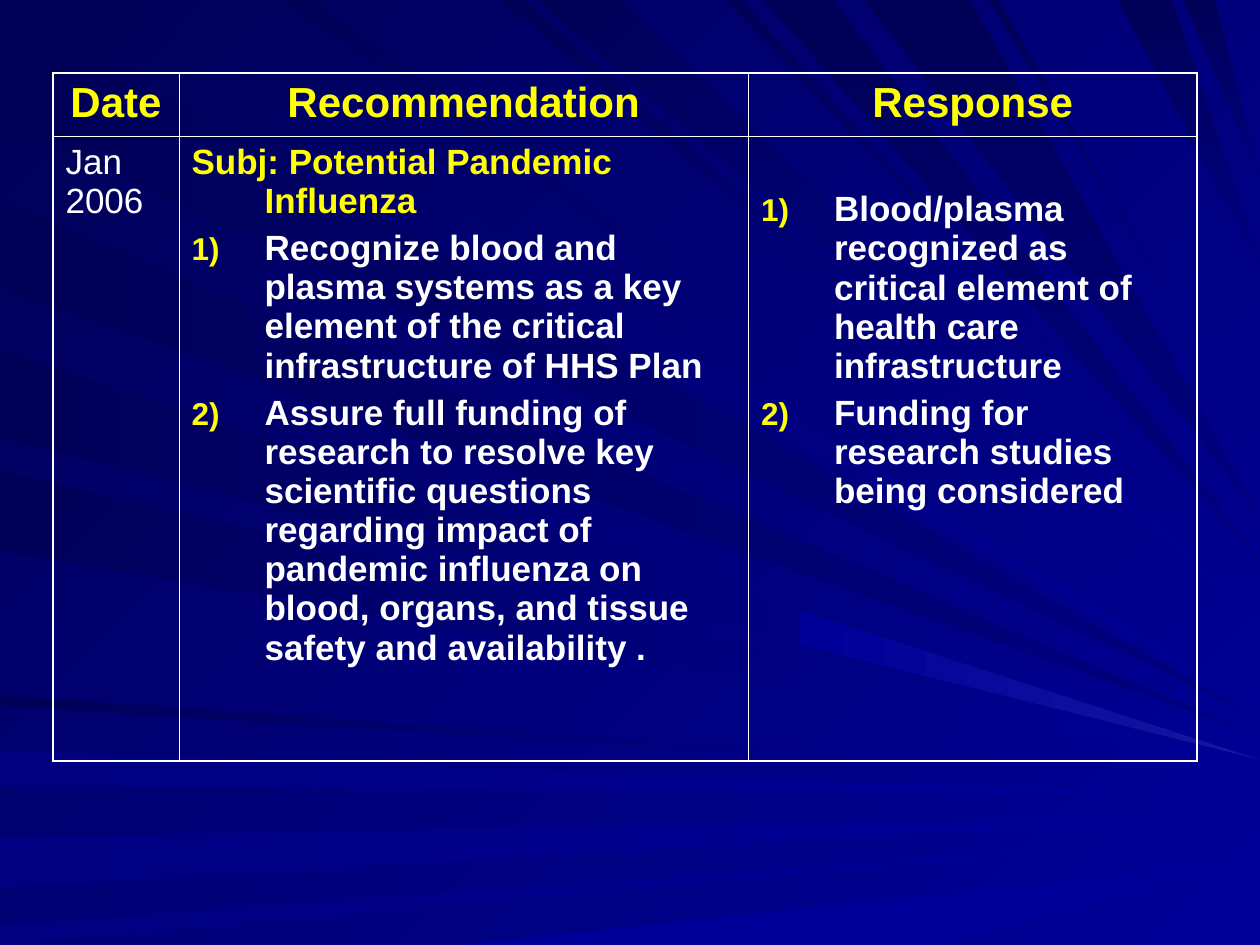
from dataclasses import dataclass

from lxml.etree import SubElement
from pptx import Presentation
from pptx.dml.color import RGBColor as RGB
from pptx.enum.text import PP_ALIGN as Align
from pptx.oxml.ns import qn
from pptx.util import Inches, Pt


@dataclass(frozen=True)
class Theme:
    font: str = "Arial"
    bright: str = "000099"
    mid: str = "000080"
    dark: str = "000057"
    glow: str = "1616A1"
    white: str = "FFFFFF"
    yellow: str = "FFFF00"
    head_size: int = 24
    body_size: int = 20
    outer: float = 1.08
    inner: float = 0.45


T = Theme()
WIDTH, HEIGHT = 10, 7.5

EDGES = {
    "left": lambda v: (0, v),
    "middle": lambda v: (6.35, v),
    "top": lambda v: (v, 0),
    "bottom": lambda v: (v, HEIGHT),
}
FANS = [
    ("left", T.mid, T.dark, 180, [(0.02, 0.93, 5.7), (1.59, 2.28, 5.84)]),
    ("top", T.bright, T.dark, 225, [(0.26, 1.01, 5.63), (3.98, 4.16, 5.18), (4.26, 4.92, 4.93)]),
    ("left", T.bright, T.mid, 180, [(5.96, 6.23, 6.32), (6.65, 7.04, 6.47), (7.35, 7.5, 6.62)]),
    ("bottom", T.bright, T.bright, 180, [(3.64, 7.42, 6.83)]),
    ("top", T.dark, T.mid, 90, [(6.06, 6.61, 4.46), (6.86, 7.7, 4.1), (8.87, 9.3, 2.1), (9.39, 9.64, 1.4)]),
    ("left", T.bright, T.dark, 225, [(2.78, 3.42, 6.02), (3.74, 4.37, 6.06), (5.52, 5.6, 6.22)]),
    ("top", T.bright, T.dark, 225, [(2.25, 2.47, 5.5), (5.77, 5.88, 4.54), (7.85, 7.92, 3.57)]),
    ("left", T.bright, T.dark, 180, [(2.83, 3.47, 6.03)]),
    ("middle", T.glow, T.bright, 180, [(4.85, 5.11, 6.03)]),
]

COLUMNS = [("Date", 1), ("Recommendation", 4.52), ("Response", 3.56)]
ROWS = [0.5, 4.96]
SUBJECT = "Subj: Potential Pandemic Influenza"
RECOMMENDATIONS = [
    "Recognize blood and plasma systems as a key element of the critical infrastructure of HHS Plan",
    "Assure full funding of research to resolve key scientific questions regarding impact of "
    "pandemic influenza on blood, organs, and tissue safety and availability .",
]
RESPONSES = [
    "Blood/plasma recognized as critical element of health care infrastructure",
    "Funding for research studies being considered",
]


def paint(fill, start, end, angle):
    fill.gradient()
    fill.gradient_angle = 360 - angle
    for stop, color in zip(fill.gradient_stops, (start, end)):
        stop.color.rgb = RGB.from_string(color)


def add_ray(shapes, points, shade):
    first, *rest = [(Inches(x), Inches(y)) for x, y in points]
    builder = shapes.build_freeform(*first, scale=1.0)
    builder.add_line_segments(rest, close=True)
    sp = builder.convert_to_shape()
    sp.shadow.inherit = False
    sp.line.fill.background()
    paint(sp.fill, *shade)


def add_fans(s):
    for edge, *shade, rays in FANS:
        for near, far, tip in rays:
            add_ray(s.shapes, [EDGES[edge](near), EDGES[edge](far), (WIDTH, tip)], shade)


def add_border(cell, row, col):
    pr = cell._tc.get_or_add_tcPr()
    outer = {"L": col == 0, "R": col == len(COLUMNS) - 1, "T": row == 0, "B": row == len(ROWS) - 1}
    for side, is_outer in outer.items():
        ln = SubElement(pr, qn(f"a:ln{side}"), w=str(Pt(T.outer if is_outer else T.inner)))
        SubElement(SubElement(ln, qn("a:solidFill")), qn("a:srgbClr"), val=T.white)
    cell.fill.background()


def hang(p, numbered):
    pr = p._p.get_or_add_pPr()
    indent = Inches(0.58)
    pr.set("marL", str(indent))
    pr.set("indent", str(-indent))
    if numbered:
        SubElement(SubElement(pr, qn("a:buClr")), qn("a:srgbClr"), val=T.yellow)
        SubElement(pr, qn("a:buSzPct"), val="90000")
        SubElement(pr, qn("a:buAutoNum"), type="arabicParenR")


def write(p, text, color, size=T.body_size, bold=True):
    r = p.add_run()
    r.text = text
    for name, value in {"name": T.font, "size": Pt(size), "bold": bold}.items():
        setattr(r.font, name, value)
    r.font.color.rgb = RGB.from_string(color)


def write_items(tf, items, subject=None):
    lines = [(subject, T.yellow, False)] if subject else []
    lines += [(item, T.white, True) for item in items]
    for i, (text, color, numbered) in enumerate(lines):
        p = tf.add_paragraph() if i else tf.paragraphs[0]
        if i:
            p.space_before = Pt(5)
        hang(p, numbered)
        write(p, text, color)


def add_recommendation_table(s):
    width = sum(w for _, w in COLUMNS)
    frame = s.shapes.add_table(len(ROWS), len(COLUMNS), Inches(0.42), Inches(0.58),
                               Inches(width), Inches(sum(ROWS)))
    table = frame.table
    table.first_row = table.horz_banding = False
    for row, height in zip(table.rows, ROWS):
        row.height = Inches(height)
    for col, (title, w) in enumerate(COLUMNS):
        table.columns[col].width = Inches(w)
        for row in range(len(ROWS)):
            add_border(table.cell(row, col), row, col)
        p = table.cell(0, col).text_frame.paragraphs[0]
        p.alignment = Align.CENTER
        write(p, title, T.yellow, T.head_size)
    date, recommendation, response = table.rows[1].cells
    write(date.text_frame.paragraphs[0], "Jan 2006", T.white, bold=False)
    write_items(recommendation.text_frame, RECOMMENDATIONS, SUBJECT)
    response.margin_top = Inches(0.43)
    write_items(response.text_frame, RESPONSES)


def main():
    prs = Presentation()
    prs.slide_width, prs.slide_height = Inches(WIDTH), Inches(HEIGHT)
    s = prs.slides.add_slide(prs.slide_layouts[6])
    paint(s.background.fill, T.bright, T.dark, 225)
    add_fans(s)
    add_recommendation_table(s)
    prs.save("out.pptx")


if __name__ == "__main__":
    main()
